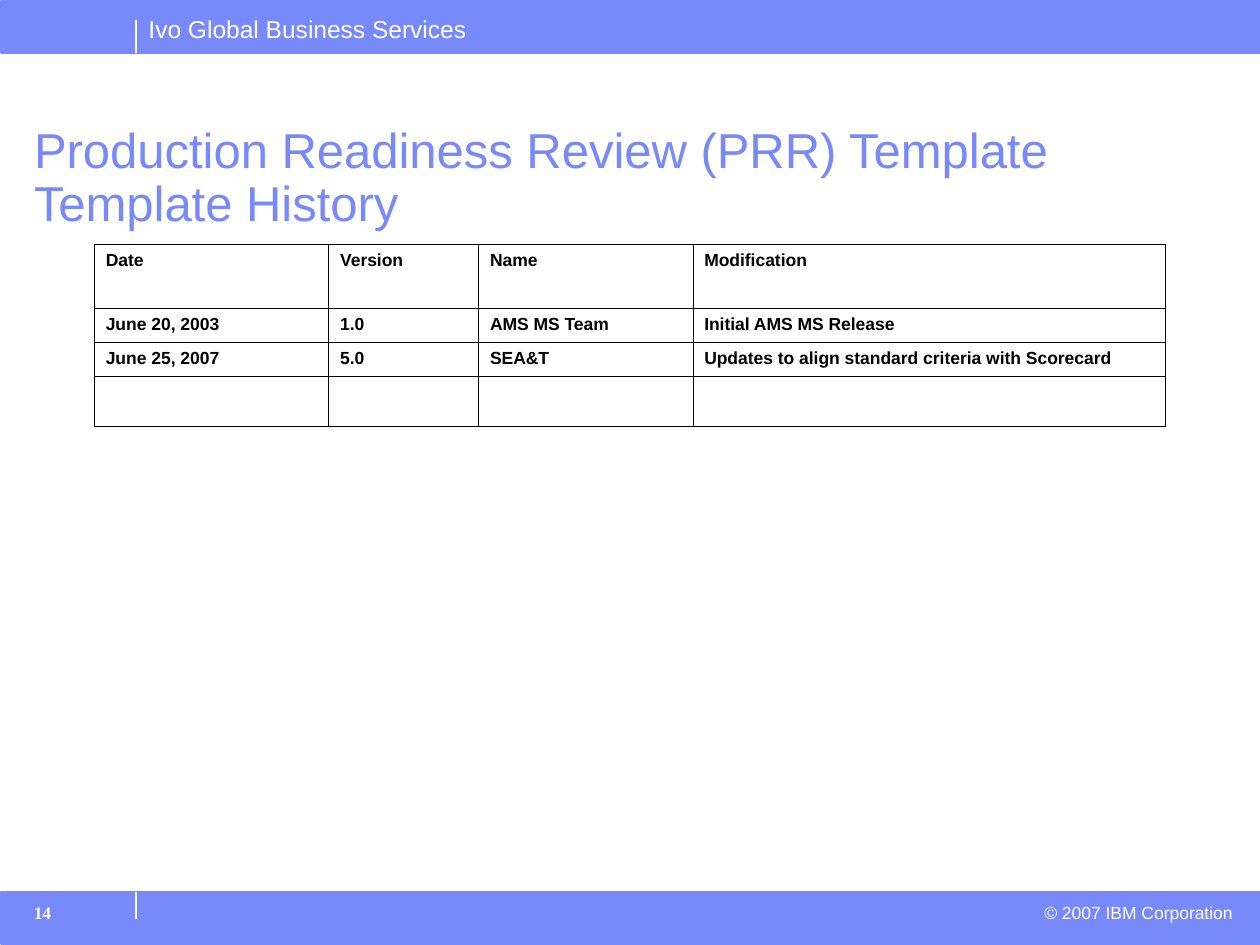
from lxml.etree import SubElement
from pptx import Presentation
from pptx.dml.color import RGBColor
from pptx.enum.shapes import MSO_CONNECTOR, MSO_SHAPE
from pptx.enum.text import MSO_ANCHOR, MSO_AUTO_SIZE, PP_ALIGN
from pptx.oxml.ns import qn
from pptx.util import Inches, Pt

PERIWINKLE = RGBColor(0x78, 0x89, 0xFB)
WHITE = RGBColor(0xFF, 0xFF, 0xFF)
BLACK = RGBColor(0, 0, 0)

TITLE = "Production Readiness Review (PRR) Template Template History"
HISTORY = [
    ("Date", "Version", "Name", "Modification"),
    ("June 20, 2003", "1.0", "AMS MS Team", "Initial AMS MS Release"),
    ("June 25, 2007", "5.0", "SEA&T", "Updates to align standard criteria with Scorecard"),
    ("", "", "", ""),
]
COLUMN_WIDTHS = (1.86, 1.19, 1.7, 3.75)
ROW_HEIGHTS = (0.51, 0.26, 0.26, 0.38)
OUTER_BORDER, INNER_BORDER = Pt(1.08), Pt(0.45)

BAND_TOPS = (0.01, 7.08)
DIVIDERS = ((0.16, 0.42), (7.08, 7.29))  # top and bottom of each
# text, box, size, font, bold, alignment, wrap
BAND_TEXTS = [
    ("Ivo Global Business Services", (1.08, 0.06, 2.81, 0.33), 14, "Arial", False, PP_ALIGN.LEFT, False),
    ("© 2007 IBM Corporation", (6.26, 7.11, 3.62, 0.27), 10, "Arial", False, PP_ALIGN.RIGHT, True),
    ("14", (0.17, 7.11, 1.1, 0.35), 10, "Times New Roman", True, PP_ALIGN.LEFT, True),
]


def style_runs(paragraph, size, color, name="Arial", bold=False):
    for run in paragraph.runs:
        run.font.size = Pt(size)
        run.font.name = name
        run.font.bold = bold
        run.font.color.rgb = color


def add_bands(slide):
    for top in BAND_TOPS:
        band = slide.shapes.add_shape(
            MSO_SHAPE.RECTANGLE, Inches(0.01), Inches(top), Inches(9.99), Inches(0.41))
        band.shadow.inherit = False
        band.fill.solid()
        band.fill.fore_color.rgb = PERIWINKLE
        band.line.color.rgb = PERIWINKLE
        band.line.width = Pt(1)
    for top, bottom in DIVIDERS:
        divider = slide.shapes.add_connector(
            MSO_CONNECTOR.STRAIGHT, Inches(1.08), Inches(top), Inches(1.08), Inches(bottom))
        divider.line.color.rgb = WHITE
        divider.line.width = Pt(1)
        SubElement(divider.element.spPr, qn("a:effectLst"))
    for text, box, size, font, bold, alignment, wrap in BAND_TEXTS:
        frame = slide.shapes.add_textbox(*map(Inches, box)).text_frame
        frame.word_wrap = wrap
        frame.text = text
        frame.paragraphs[0].alignment = alignment
        style_runs(frame.paragraphs[0], size, WHITE, font, bold)


def add_title(slide):
    title = slide.shapes.title
    title.left, title.top, title.width, title.height = map(Inches, (0.17, 0.95, 9.02, 0.55))
    frame = title.text_frame
    frame.text = TITLE
    frame.word_wrap = True
    frame.auto_size = MSO_AUTO_SIZE.NONE
    frame.vertical_anchor = MSO_ANCHOR.TOP
    paragraph = frame.paragraphs[0]
    paragraph.alignment = PP_ALIGN.LEFT
    paragraph.line_spacing = 0.9
    style_runs(paragraph, 28, PERIWINKLE)


def set_borders(cell, outer_sides):
    """Draw all four borders, heavier on the sides at the table's edge."""
    properties = cell._tc.get_or_add_tcPr()
    for side in "LRTB":
        width = OUTER_BORDER if side in outer_sides else INNER_BORDER
        border = SubElement(properties, qn(f"a:ln{side}"), w=str(width))
        fill = SubElement(border, qn("a:solidFill"))
        SubElement(fill, qn("a:srgbClr"), val=str(BLACK))


def add_history(slide):
    last_row, last_column = len(HISTORY) - 1, len(COLUMN_WIDTHS) - 1
    table = slide.shapes.add_table(
        len(HISTORY), len(COLUMN_WIDTHS), Inches(0.75), Inches(1.94),
        Inches(sum(COLUMN_WIDTHS)), Inches(sum(ROW_HEIGHTS))).table
    table.first_row = table.horz_banding = False
    for column, width in zip(table.columns, COLUMN_WIDTHS):
        column.width = Inches(width)
    for r, (entries, height) in enumerate(zip(HISTORY, ROW_HEIGHTS)):
        table.rows[r].height = Inches(height)
        for c, entry in enumerate(entries):
            cell = table.cell(r, c)
            cell.margin_left = cell.margin_right = Inches(0.09)
            cell.margin_top = cell.margin_bottom = Inches(0.05)
            at_edge = {"L": c == 0, "R": c == last_column, "T": r == 0, "B": r == last_row}
            set_borders(cell, [side for side, outer in at_edge.items() if outer])
            cell.fill.background()
            if entry:
                cell.text = entry
                style_runs(cell.text_frame.paragraphs[0], 10, BLACK, bold=True)


def main():
    deck = Presentation()
    deck.slide_width, deck.slide_height = Inches(10), Inches(7.5)
    slide = deck.slides.add_slide(deck.slide_layouts[5])
    add_bands(slide)
    add_title(slide)
    add_history(slide)
    deck.save("out.pptx")


if __name__ == "__main__":
    main()
